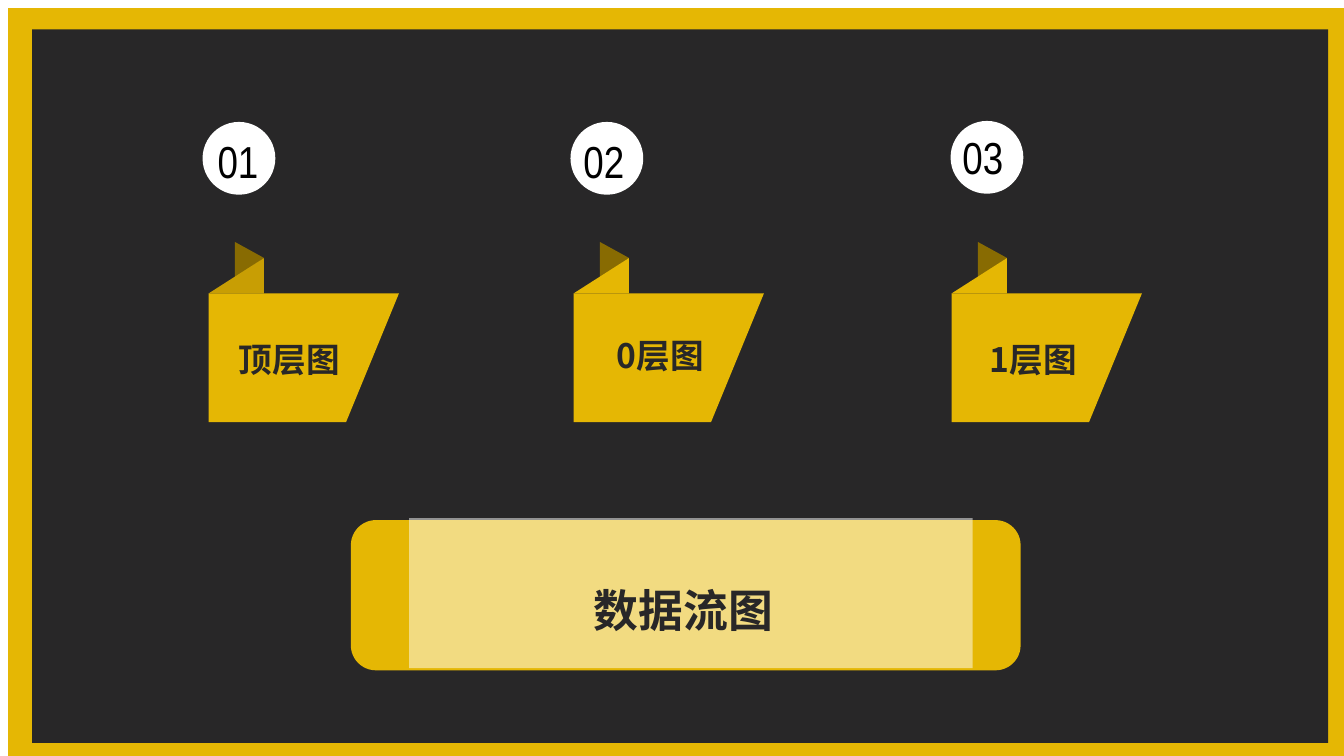
"""Build a slide with three numbered flags above a title bar."""
from lxml.etree import SubElement
from pptx import Presentation
from pptx.dml.color import RGBColor
from pptx.enum.shapes import MSO_SHAPE
from pptx.enum.text import MSO_AUTO_SIZE, PP_ALIGN
from pptx.oxml.ns import qn
from pptx.util import Pt

COLORS = {"gold": "E5B704", "dark": "282728", "white": "FFFFFF",
          "black": "000000", "brown": "886B02", "fold": "C89E04"}
HAN = "Noto Sans CJK SC"
FLAGS = [
    ("01", "顶层图", 149, "fold", (144.7, 87.1), (148.3, 92.2), (148.3, 223.9)),
    ("02", "0层图", 409.7, "gold", (407.5, 87.1), (409.7, 92.2), (413.3, 221)),
    ("03", "1层图", 679.7, "gold", (679, 86.4), (680.4, 89.3), (679.7, 223.9)),
]


def color(name):
    """Return a named colour."""
    return RGBColor.from_string(COLORS[name])


def paint(shape, fill):
    """Give a shape a plain fill without line or shadow."""
    shape.shadow.inherit = False
    shape.fill.solid()
    shape.fill.fore_color.rgb = color(fill)
    shape.line.fill.background()
    return shape


def block(shapes, kind, box, fill):
    """Add a preset shape."""
    return paint(shapes.add_shape(kind, *map(Pt, box)), fill)


def outline(shapes, points, fill):
    """Add a closed polygon."""
    first, *rest = [(Pt(x), Pt(y)) for x, y in points]
    pen = shapes.build_freeform(*first)
    pen.add_line_segments(rest, close=True)
    return paint(pen.convert_to_shape(), fill)


def label(shapes, text, box, size, face, tint, title=True):
    """Add one line of text, centred and bold if it is a title."""
    frame = shapes.add_textbox(*map(Pt, box)).text_frame
    frame.word_wrap = title
    frame.auto_size = MSO_AUTO_SIZE.SHAPE_TO_FIT_TEXT
    para = frame.paragraphs[0]
    para.text = text
    font = para.font
    font.size, font.name, font.bold = Pt(size), face, title
    font.color.rgb = color(tint)
    if title:
        para.alignment = PP_ALIGN.CENTER
        para.line_spacing = 1.5
        props = para._p.pPr.find(qn("a:defRPr"))
        SubElement(props, qn("a:ea")).set("typeface", HAN)


def flag(shapes, left, fold):
    """Add a folded flag."""
    outline(shapes, [(left + 18.7, 172.8), (left + 39.6, 184.3),
                     (left + 18.7, 198.7)], "brown")
    crease = block(shapes, MSO_SHAPE.RIGHT_TRIANGLE,
                   (left, 184.3, 39.6, 25.3), fold)
    crease._element.spPr.xfrm.set("flipH", "1")
    outline(shapes, [(left, 209.6), (left + 136, 209.6),
                     (left + 98.2, 301.6), (left, 301.6)], "gold")


def badge(shapes, number, disc, spot):
    """Add a number on a white disc."""
    group = shapes.add_group_shape().shapes
    block(group, MSO_SHAPE.OVAL, (*disc, 52, 52), "white")
    label(group, number, (*spot, 48, 46), 32, "Arial Narrow", "black", False)


def banner(shapes):
    """Add the title bar with its pale overlay."""
    block(shapes, MSO_SHAPE.ROUNDED_RECTANGLE,
          (250.6, 371.5, 478.4, 107.3), "gold")
    veil = block(shapes, MSO_SHAPE.RECTANGLE,
                 (292.3, 370, 402.5, 107.3), "white")
    tone = veil._element.spPr.find(qn("a:solidFill"))[0]
    SubElement(tone, qn("a:alpha")).set("val", "50000")
    label(shapes, "数据流图", (331.9, 393.8, 312.5, 58.3), 32, "Karla", "dark")


def main():
    """Build and save the slide."""
    deck = Presentation()
    deck.slide_width, deck.slide_height = Pt(960), Pt(540)
    shapes = deck.slides.add_slide(deck.slide_layouts[6]).shapes
    block(shapes, MSO_SHAPE.RECTANGLE, (5.8, 5.8, 960, 540), "gold")
    block(shapes, MSO_SHAPE.RECTANGLE, (23, 21, 925.8, 509.7), "dark")
    for number, name, left, fold, disc, spot, place in FLAGS:
        flag(shapes, left, fold)
        label(shapes, name, (*place, 116.6, 46), 24, HAN, "dark")
        badge(shapes, number, disc, spot)
    banner(shapes)
    deck.save("out.pptx")


if __name__ == "__main__":
    main()
